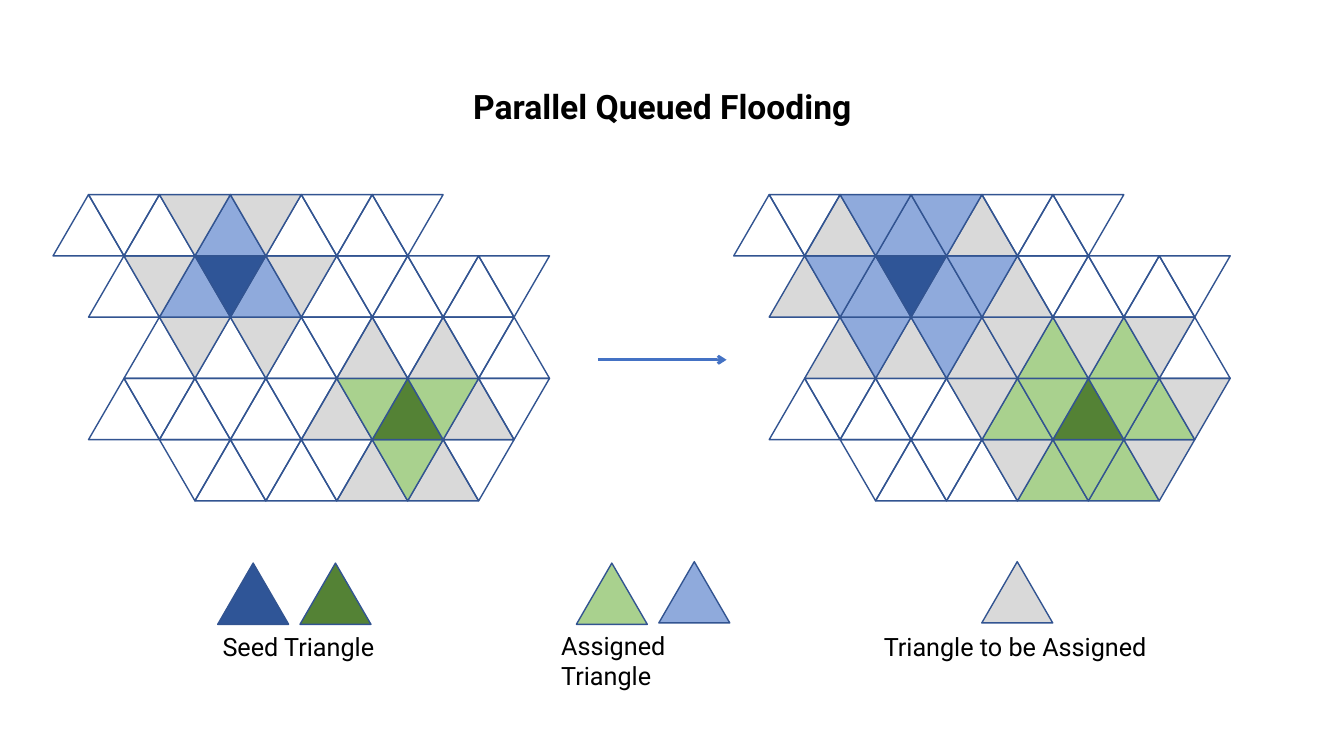
"""Build the Parallel Queued Flooding slide."""
from typing import Any, NamedTuple

from lxml.etree import SubElement
from pptx import Presentation
from pptx.dml.color import RGBColor
from pptx.enum.shapes import MSO_CONNECTOR as Conn, MSO_SHAPE as Kind
from pptx.enum.text import MSO_ANCHOR as Anchor, MSO_AUTO_SIZE as Fit, PP_ALIGN as Align
from pptx.oxml.ns import qn
from pptx.util import Pt

HALF, HIGH = 25.33, 43.75
SIDE = 2 * HALF
EDGE = "325491"
FILLS = {"B": "2F5597", "b": "8FAADC", "G": "548235", "g": "A9D18E", "x": "D9D9D9"}


class Mesh(NamedTuple):
    """Rows of cells: a letter is a fill, a dot is empty, a space is no cell."""
    left: float
    top: float
    rows: list[str]


class Key(NamedTuple):
    """A legend triangle."""
    left: float
    top: float
    mark: str


class Label(NamedTuple):
    """A legend caption."""
    left: float
    top: float
    width: float
    text: str


MESHES = [
    Mesh(37.9, 139, [
        "...xbx....",
        " .xbBbx......",
        "  .x.x..x.x..",
        " ......xgGgx.",
        "   .....xgx.",
    ]),
    Mesh(524.1, 139, [
        "..xbbbx...",
        " xbbBbbx.....",
        "  xbxbxxgxgx.",
        " .....xggGggx",
        "   ....xgggx",
    ]),
]
KEYS = [
    Key(155.5, 402.2, "B"), Key(214.3, 402.2, "G"),
    Key(411.7, 402.2, "g"), Key(470.6, 401.2, "b"), Key(701.3, 401.2, "x"),
]
LABELS = [
    Label(151.9, 447.1, 126.7, "Seed Triangle"),
    Label(393.8, 446.4, 151.2, "Assigned Triangle"),
    Label(624.2, 447.1, 205.2, "Triangle to be Assigned"),
]


def color(code: str) -> RGBColor:
    """Turn a hex string into a colour."""
    return RGBColor.from_string(code)


def write(box: Any, text: str, *, size: float = 18, bold: bool = False,
          align: Any = Align.LEFT, fit: Any = Fit.SHAPE_TO_FIT_TEXT) -> None:
    """Fill a box with one formatted paragraph."""
    frame = box.text_frame
    frame.text = text
    frame.word_wrap, frame.auto_size = True, fit
    frame.vertical_anchor = Anchor.TOP
    para = frame.paragraphs[0]
    para.alignment = align
    font = para.runs[0].font
    font.name, font.size, font.bold = "Roboto", Pt(size), bold
    font.color.rgb = color("000000")


def draw_tri(shapes: Any, left: float, top: float, mark: str, down: bool = False) -> None:
    """Draw one triangle, pointing up or down."""
    tri = shapes.add_shape(Kind.ISOSCELES_TRIANGLE, Pt(left), Pt(top), Pt(SIDE), Pt(HIGH))
    tri.shadow.inherit = False
    tri.rotation = 180 if down else 0
    tri.line.color.rgb, tri.line.width = color(EDGE), Pt(1)
    if mark in FILLS:
        tri.fill.solid()
        tri.fill.fore_color.rgb = color(FILLS[mark])
    else:
        tri.fill.background()


def draw_mesh(shapes: Any, mesh: Mesh) -> None:
    """Draw a mesh as a group, lowest row first and upright cells first."""
    group = shapes.add_group_shape().shapes
    for row, cells in reversed(list(enumerate(mesh.rows))):
        for down in (False, True):
            for col, mark in enumerate(cells):
                if mark != " " and (row + col) % 2 == down:
                    draw_tri(group, mesh.left + col * HALF, mesh.top + row * HIGH, mark, down)


def draw_arrow(shapes: Any, left: float, right: float, mid: float) -> None:
    """Draw the arrow between the meshes."""
    arrow = shapes.add_connector(Conn.STRAIGHT, Pt(left), Pt(mid), Pt(right), Pt(mid))
    arrow.line.color.rgb, arrow.line.width = color("4472C4"), Pt(2)
    SubElement(arrow.line._get_or_add_ln(), qn("a:tailEnd"), type="arrow")
    SubElement(arrow._element.spPr, qn("a:effectLst"))


def main() -> None:
    """Build and save the slide."""
    deck = Presentation()
    deck.slide_width, deck.slide_height = Pt(960), Pt(540)
    shapes = deck.slides.add_slide(deck.slide_layouts[5]).shapes
    title = shapes.title
    title.left, title.top, title.width, title.height = Pt(287.3), Pt(57.6), Pt(371.5), Pt(36)
    write(title, "Parallel Queued Flooding", size=24, bold=True, align=Align.CENTER, fit=Fit.NONE)
    for key in KEYS:
        draw_tri(shapes, key.left, key.top, key.mark)
    for label in LABELS:
        box = shapes.add_textbox(Pt(label.left), Pt(label.top), Pt(label.width), Pt(29))
        write(box, label.text)
    for mesh in MESHES:
        draw_mesh(shapes, mesh)
    draw_arrow(shapes, 427, 519, 257)
    deck.save("out.pptx")


main()
